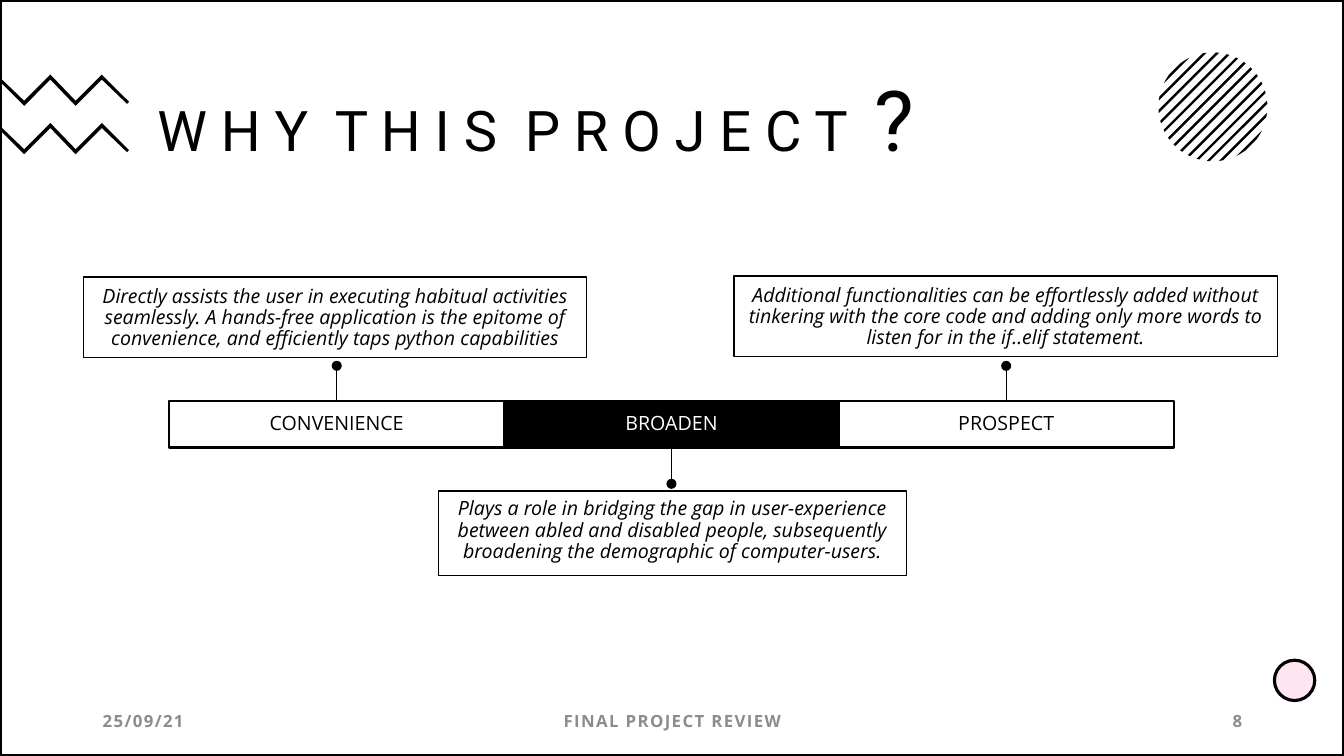
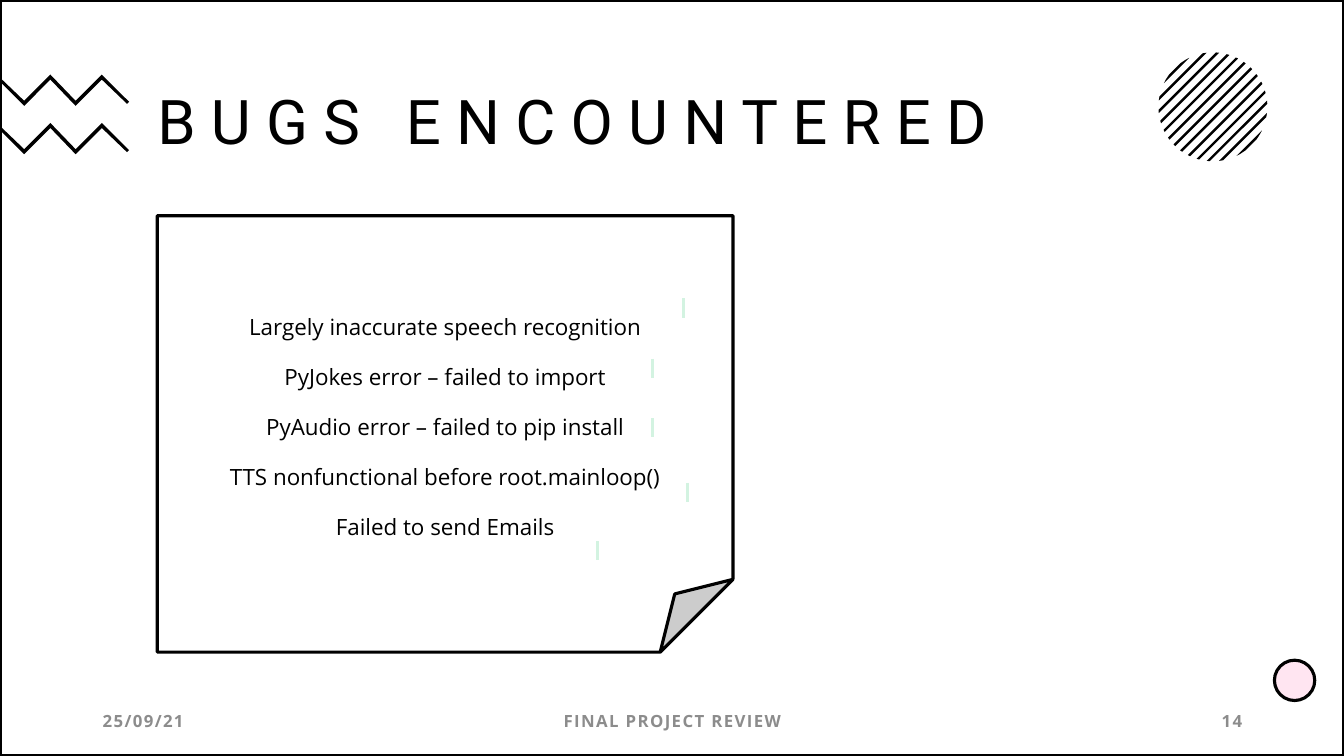
from collections import namedtuple
from math import sqrt

from lxml import etree
from pptx import Presentation
from pptx import util as u
from pptx.dml.color import RGBColor
from pptx.enum import shapes, text
from pptx.oxml.ns import qn

BLACK = RGBColor(0x00, 0x00, 0x00)
WHITE = RGBColor(0xFF, 0xFF, 0xFF)
GREY = RGBColor(0x8C, 0x8C, 0x8C)
PINK = RGBColor(0xFF, 0x80, 0xBD)
MINT = RGBColor(0xD3, 0xF3, 0xE1)
TITLE_FONT = "Roboto"
BODY_FONT = "Open Sans"
KIND = shapes.MSO_SHAPE
ALIGN = text.PP_ALIGN
ANCHOR = text.MSO_ANCHOR

Box = namedtuple("Box", "left top width height")
SLIDE = Box(0, 0, 13.33, 7.5)
TITLE = Box(1.46, 0.62, 10.66, 1.23)
ZIGZAG = Box(0, 0.74, 1.28, 0.78)
STRIPES = Box(11.49, 0.52, 1.08, 1.08)
DOT = Box(12.64, 6.55, 0.4, 0.4)
FOOTER = Box(0.92, 6.95, 11.5, 0.4)
BAR = Box(1.68, 3.98, 9.96, 0.46)
NOTE = Box(1.56, 2.14, 5.71, 4.33)

ZIGZAG_POINTS = [
    (0.5, 0), (0.75, 0.26), (1.01, 0), (1.28, 0.27), (1.26, 0.29), (1.01, 0.05),
    (0.75, 0.31), (0.5, 0.05), (0.24, 0.31), (0, 0.07), (0, 0.03), (0.24, 0.26),
]
REASONS = [
    ("CONVENIENCE", Box(0.83, 2.75, 4.99, 0.8),
     "Directly assists the user in executing habitual activities seamlessly. "
     "A hands-free application is the epitome of convenience, and efficiently "
     "taps python capabilities"),
    ("BROADEN", Box(4.35, 4.87, 4.64, 0.84),
     "Plays a role in bridging the gap in user-experience between abled and "
     "disabled people, subsequently broadening the demographic of computer-users."),
    ("PROSPECT", Box(7.28, 2.74, 5.39, 0.8),
     "Additional functionalities can be effortlessly added without tinkering with "
     "the core code and adding only more words to listen for in the if..elif "
     "statement."),
]
BUGS = [
    "Largely inaccurate speech recognition",
    "PyJokes error \u2013 failed to import",
    "PyAudio error \u2013 failed to pip install",
    "TTS nonfunctional before root.mainloop()",
    "Failed to send Emails",
]
BUG_MARKS = [(5.22, 0.82), (4.91, 1.42), (4.91, 2.01), (5.26, 2.65), (4.37, 3.23)]


def inches(box):
    return [u.Inches(length) for length in box]


def paint(shape, fill=None, line=None, weight=1):
    shape.shadow.inherit = False
    if fill is None:
        shape.fill.background()
    else:
        shape.fill.solid()
        shape.fill.fore_color.rgb = fill
    if line is None:
        shape.line.fill.background()
    else:
        shape.line.color.rgb = line
        shape.line.width = u.Pt(weight)


def add_shape(page, kind, box, fill=None, line=None, weight=1):
    shape = page.shapes.add_shape(kind, *inches(box))
    paint(shape, fill, line, weight)
    return shape


def add_outline(page, points):
    start, *rest = [(u.Inches(x), u.Inches(y)) for x, y in points]
    builder = page.shapes.build_freeform(*start)
    builder.add_line_segments(rest, close=True)
    paint(builder.convert_to_shape(), BLACK)


def add_line(page, x, top, bottom, color, weight):
    line = page.shapes.add_connector(
        shapes.MSO_CONNECTOR.STRAIGHT, *inches((x, top, x, bottom)))
    line.line.color.rgb = color
    line.line.width = u.Pt(weight)
    etree.SubElement(line._element.spPr, qn("a:effectLst"))


def style(font, name, size, color, bold, italic):
    font.name = name
    font.size = u.Pt(size)
    font.color.rgb = color
    font.bold = bold
    font.italic = italic


def write(para, words, size, color=BLACK, name=BODY_FONT, align=ALIGN.CENTER,
          spacing=None, bold=False, italic=False):
    para.alignment = align
    para.line_spacing = spacing
    span = para.add_run()
    span.text = words
    for font in (para.font, span.font):
        style(font, name, size, color, bold, italic)
    return span


def set_frame(shape, anchor, sides=0.1, top=0.05, bottom=0.05):
    frame = shape.text_frame
    frame.word_wrap = True
    frame.auto_size = text.MSO_AUTO_SIZE.NONE
    frame.vertical_anchor = anchor
    frame.margin_left = frame.margin_right = u.Inches(sides)
    frame.margin_top = u.Inches(top)
    frame.margin_bottom = u.Inches(bottom)
    return frame


def add_zigzags(page, box):
    for top in (box.top, box.top + 0.48):
        add_outline(page, [(box.left + x, top + y) for x, y in ZIGZAG_POINTS])


def add_striped_circle(page, box):
    radius = box.width / 2
    reach = radius * sqrt(2)
    center_x, center_y = box.left + radius, box.top + radius
    for stripe in range(-6, 7):
        edges = [stripe * 0.123 + shift for shift in (-0.017, 0, 0.017)]
        ends = [(edge, sqrt(reach ** 2 - edge ** 2)) for edge in edges]
        ends += [(edge, -along) for edge, along in reversed(ends)]
        add_outline(page, [(center_x + (edge + along) / 2,
                            center_y + (edge - along) / 2) for edge, along in ends])


def add_pink_dot(page, box):
    dot = add_shape(page, KIND.OVAL, box, PINK, BLACK, 2.25)
    color = dot._element.spPr.find(qn("a:solidFill"))[0]
    etree.SubElement(color, qn("a:alpha"), val="20000")


def add_footer(page, box, number):
    parts = [
        (0, 3, "25/09/21", ALIGN.LEFT),
        ((box.width - 4.5) / 2, 4.5, "FINAL PROJECT REVIEW", ALIGN.CENTER),
        (box.width - 3, 3, str(number), ALIGN.RIGHT),
    ]
    for offset, width, words, align in parts:
        place = Box(box.left + offset, box.top, width, box.height)
        frame = set_frame(page.shapes.add_textbox(*inches(place)), ANCHOR.MIDDLE)
        span = write(frame.paragraphs[0], words, 12, GREY, align=align, bold=True)
        span.font._element.set("spc", "100")


def add_title(page, box, spans):
    title = page.shapes.title
    title.left, title.top, title.width, title.height = inches(box)
    para = set_frame(title, ANCHOR.MIDDLE).paragraphs[0]
    for words, size in spans:
        write(para, words, size, name=TITLE_FONT, align=ALIGN.LEFT, spacing=0.9)


def add_page(deck, number, title_spans):
    page = deck.slides.add_slide(deck.slide_layouts[5])
    add_striped_circle(page, STRIPES)
    add_zigzags(page, ZIGZAG)
    add_pink_dot(page, DOT)
    add_title(page, TITLE, title_spans)
    add_footer(page, FOOTER, number)
    add_shape(page, KIND.RECTANGLE, SLIDE, line=BLACK, weight=2.25)
    return page


def add_callout(page, box, words, above):
    callout = add_shape(page, KIND.RECTANGLE, box, WHITE, BLACK, 1)
    anchor = ANCHOR.BOTTOM if above else ANCHOR.TOP
    frame = set_frame(callout, anchor, top=0.08, bottom=0.08)
    write(frame.paragraphs[0], words, 14, spacing=0.9, italic=True)


def add_pin(page, x, bar, above):
    if above:
        top, bottom, dot_top = bar.top - 0.39, bar.top, bar.top - 0.4
    else:
        top = bar.top + bar.height
        bottom, dot_top = top + 0.38, top + 0.31
    add_line(page, x, top, bottom, BLACK, 1)
    add_shape(page, KIND.OVAL, Box(x - 0.05, dot_top, 0.1, 0.1), BLACK)


def add_reasons(page, bar):
    width = bar.width / len(REASONS)
    for index, (label, callout_box, words) in enumerate(REASONS):
        above = index % 2 == 0
        fill, ink = (WHITE, BLACK) if above else (BLACK, WHITE)
        place = Box(bar.left + index * width, bar.top, width, bar.height)
        segment = add_shape(page, KIND.RECTANGLE, place, fill, BLACK, 1.5)
        frame = set_frame(segment, ANCHOR.MIDDLE, 0.06, 0, 0)
        write(frame.paragraphs[0], label, 14, ink, spacing=0.9)
        add_callout(page, callout_box, words, above)
        add_pin(page, place.left + width / 2, bar, above)


def add_bug_note(page, box):
    note = add_shape(page, KIND.FOLDED_CORNER, box, WHITE, BLACK, 2.25)
    frame = set_frame(note, ANCHOR.MIDDLE, top=0.62)
    for index, bug in enumerate(BUGS):
        para = frame.add_paragraph() if index else frame.paragraphs[0]
        write(para, bug, 16)
        para.space_before = u.Pt(16.6 if index else 0)
    for x, y in BUG_MARKS:
        top = box.top + y
        add_line(page, box.left + x, top, top + 0.19, MINT, 2.25)


def main():
    deck = Presentation()
    deck.slide_width = u.Inches(SLIDE.width)
    deck.slide_height = u.Inches(SLIDE.height)
    why = add_page(deck, 8, [("W H Y  T H I S  P R O J E C T  ", 40), ("?", 60)])
    add_reasons(why, BAR)
    bugs = add_page(deck, 14, [("B U G S   E N C O U N T E R E D", 44)])
    add_bug_note(bugs, NOTE)
    deck.save("out.pptx")


main()
